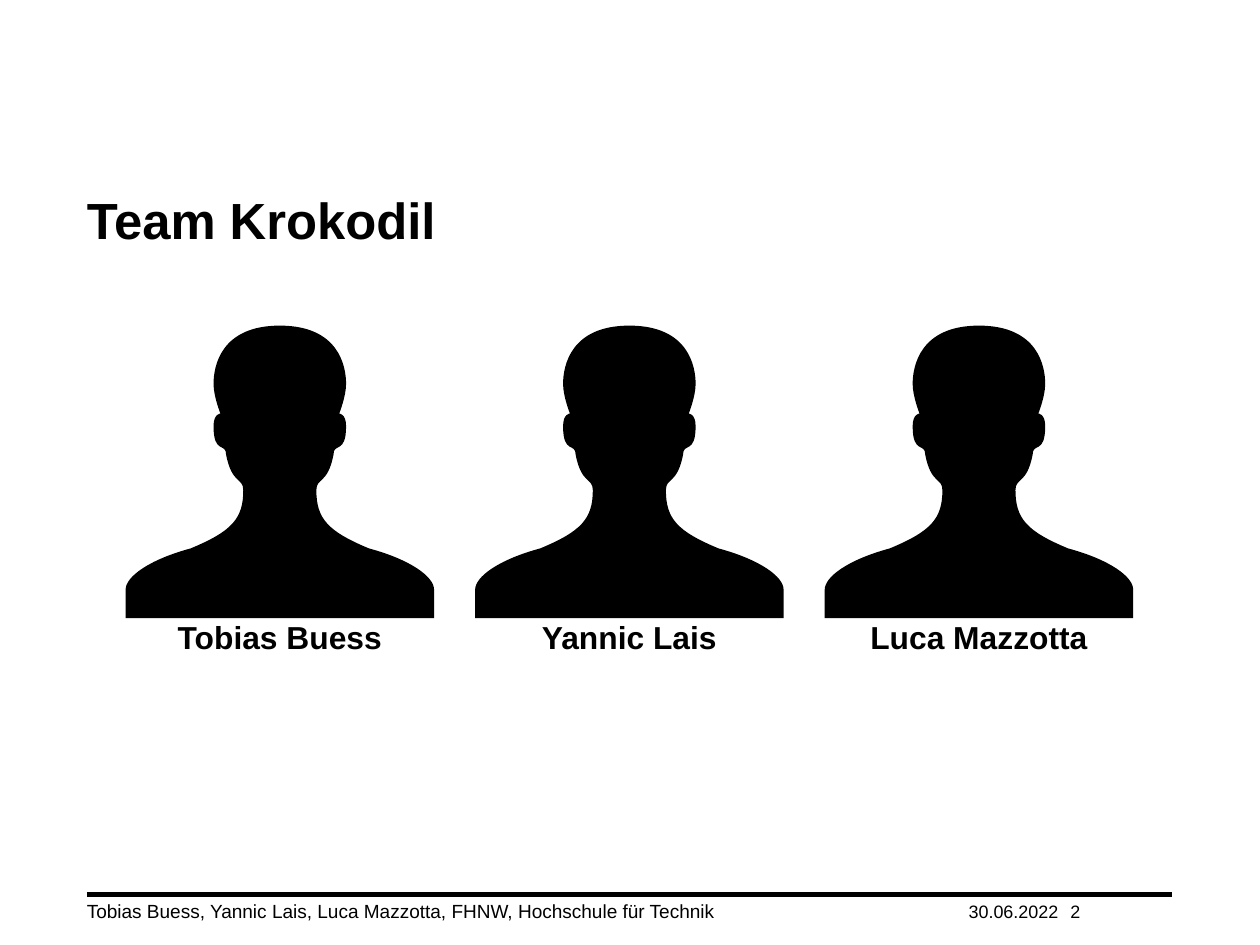
from pptx import Presentation
from pptx.dml.color import RGBColor
from pptx.enum.shapes import MSO_CONNECTOR
from pptx.enum.text import MSO_ANCHOR, MSO_AUTO_SIZE, PP_ALIGN
from pptx.oxml.ns import qn
from pptx.util import Inches, Pt
from lxml.etree import SubElement

COLORS = {"ink": "000000", "paper": "FFFFFF"}
TEAM = ["Tobias Buess", "Yannic Lais", "Luca Mazzotta"]
FIRST_CENTER, MEMBER_STEP = 2.45, 3.06
HEAD_TOP, LABEL_TOP, LABEL_WIDTH = 2.85, 5.41, 3.46
CROWN = (0, 0)
HALF_CURVES = [
    [(0.52, 0), (0.58, 0.36), (0.58, 0.51)],
    [(0.58, 0.62), (0.52, 0.77), (0.52, 0.77)],
    [(0.52, 0.77), (0.58, 0.77), (0.58, 0.88)],
    [(0.58, 1.13), (0.47, 1.02), (0.47, 1.13)],
    [(0.42, 1.39), (0.32, 1.33), (0.32, 1.44)],
    [(0.32, 1.69), (0.42, 1.8), (0.78, 1.95)],
    [(1.15, 2.05), (1.35, 2.2), (1.35, 2.31)],
]
SHOULDER_BASE = (1.35, 2.56)


def silhouette_segments():
    right = [CROWN] + [point for curve in HALF_CURVES for point in curve]
    left = [(-x, y) for x, y in reversed(right)]
    base_x, base_y = SHOULDER_BASE
    base = [[(base_x, base_y)], [(-base_x, base_y)], [left[0]]]
    return HALF_CURVES + base + [left[i:i + 3] for i in range(1, len(left), 3)]


class TeamSlide:
    font = "Arial"

    def __init__(self, presentation):
        self.slide = presentation.slides.add_slide(presentation.slide_layouts[5])
        background = self.slide.background.fill
        background.solid()
        background.fore_color.rgb = self.color("paper")

    def color(self, name):
        return RGBColor.from_string(COLORS[name])

    def format_text(self, shape, text, size, bold, align, anchor):
        frame = shape.text_frame
        frame.text = text
        frame.word_wrap = True
        frame.auto_size = MSO_AUTO_SIZE.NONE
        frame.vertical_anchor = anchor
        frame.margin_left = frame.margin_right = 0
        frame.margin_top = frame.margin_bottom = 0
        paragraph = frame.paragraphs[0]
        paragraph.alignment = align
        for run in paragraph.runs:
            run.font.name = self.font
            run.font.size = Pt(size)
            run.font.bold = bold
            run.font.color.rgb = self.color("ink")

    def title(self, text, left, top, width, height):
        heading = self.slide.shapes.title
        heading.left, heading.top = Inches(left), Inches(top)
        heading.width, heading.height = Inches(width), Inches(height)
        self.format_text(heading, text, 32, True, PP_ALIGN.LEFT, MSO_ANCHOR.TOP)

    def label(self, text, left, top, width, height, size, bold=False,
              align=PP_ALIGN.LEFT, anchor=MSO_ANCHOR.BOTTOM):
        box = self.slide.shapes.add_textbox(
            Inches(left), Inches(top), Inches(width), Inches(height))
        self.format_text(box, text, size, bold, align, anchor)

    def rule(self, left, right, top):
        divider = self.slide.shapes.add_connector(
            MSO_CONNECTOR.STRAIGHT, Inches(left), Inches(top), Inches(right), Inches(top))
        divider.line.width = Pt(3)
        divider.line.color.rgb = self.color("ink")
        SubElement(divider._element.spPr, qn("a:effectLst"))

    def silhouette(self, center, top):
        def place(point):
            return Inches(center + point[0]), Inches(top + point[1])

        segments = silhouette_segments()
        builder = self.slide.shapes.build_freeform(*place(CROWN))
        builder.add_line_segments([place(segment[-1]) for segment in segments], close=True)
        person = builder.convert_to_shape()
        lines = list(person._element.iter(qn("a:lnTo")))
        for line, segment in zip(lines, segments):
            if len(segment) == 3:
                self.bend(line, [place(point) for point in segment], person)
        person.shadow.inherit = False
        person.fill.solid()
        person.fill.fore_color.rgb = self.color("ink")
        person.line.fill.background()

    def bend(self, line, points, person):
        curve = SubElement(line.getparent(), qn("a:cubicBezTo"))
        for x, y in points:
            SubElement(curve, qn("a:pt"), x=str(x - person.left), y=str(y - person.top))
        line.getparent().replace(line, curve)

    def member(self, name, center):
        self.silhouette(center, HEAD_TOP)
        self.label(name, center - LABEL_WIDTH / 2, LABEL_TOP, LABEL_WIDTH, 0.47, 20,
                   True, PP_ALIGN.CENTER, MSO_ANCHOR.TOP)


def main():
    presentation = Presentation()
    presentation.slide_width = Inches(11.03)
    presentation.slide_height = Inches(8.27)
    page = TeamSlide(presentation)
    page.title("Team Krokodil", 0.76, 1.65, 9.5, 0.7)
    for index, name in enumerate(TEAM):
        page.member(name, FIRST_CENTER + index * MEMBER_STEP)
    page.rule(0.76, 10.26, 7.83)
    page.label(", ".join(TEAM + ["FHNW", "Hochschule für Technik"]),
               0.76, 7.87, 7.72, 0.2, 12)
    page.label("30.06.2022", 8.48, 7.87, 0.89, 0.2, 11.3)
    page.label("2", 9.37, 7.87, 0.89, 0.2, 11.3)
    presentation.save("out.pptx")


if __name__ == "__main__":
    main()
